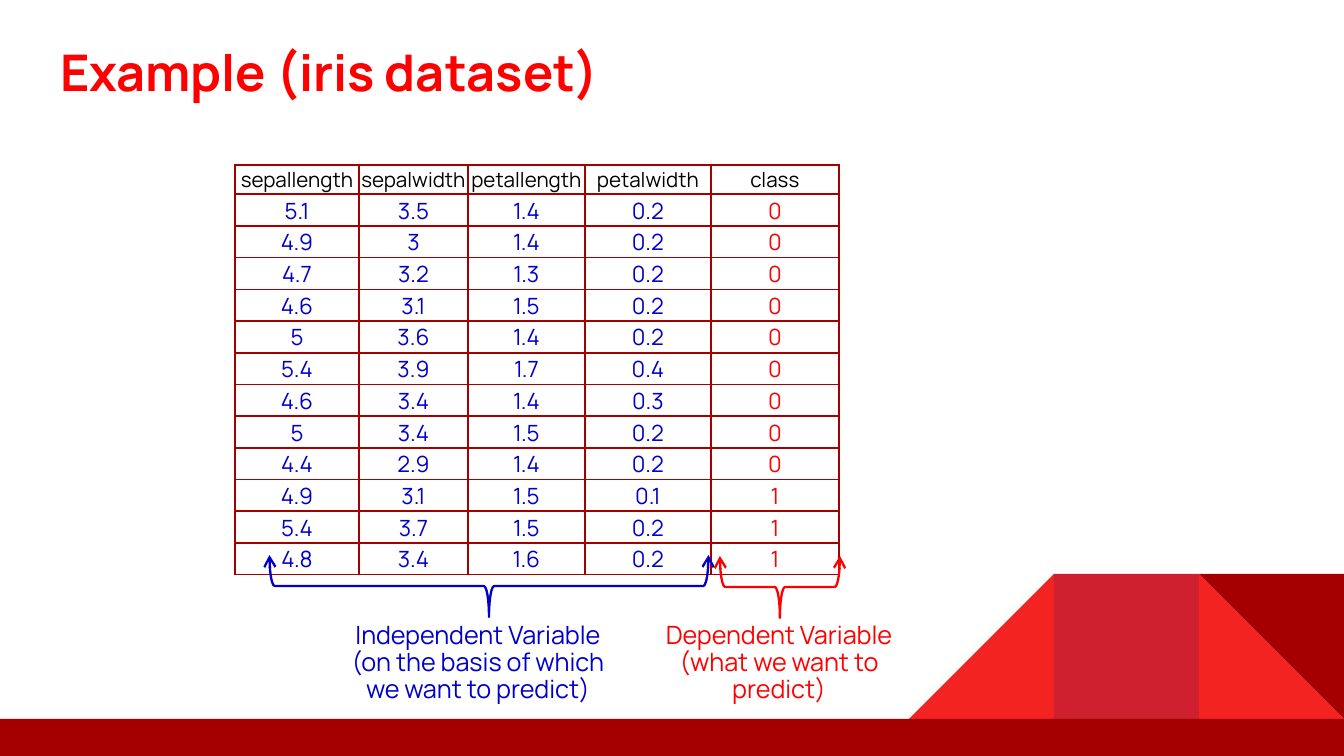
from lxml.etree import SubElement
from pptx import Presentation
from pptx.dml.color import RGBColor
from pptx.enum.shapes import MSO_SHAPE as Shape
from pptx.enum.text import MSO_ANCHOR as Anchor, MSO_AUTO_SIZE as AutoSize, PP_ALIGN as Align
from pptx.oxml.ns import qn
from pptx.util import Pt

WIDTH, HEIGHT = 1344, 756
SCALE = 9144000 / WIDTH  # EMU in one px
FONT = "Manrope"
COLORS = {
    "title": "FF0000", "dependent": "FF0000", "independent": "0000CC",
    "header": "000000", "dark": "A50000", "bright": "F32321", "block": "CE202F",
}

HEADERS = ["sepallength", "sepalwidth", "petallength", "petalwidth", "class"]
COLUMN_WIDTHS = [124, 109, 117, 126, 128]
ROW_HEIGHT = 29
SAMPLES = [
    ["5.1", "3.5", "1.4", "0.2", "0"],
    ["4.9", "3", "1.4", "0.2", "0"],
    ["4.7", "3.2", "1.3", "0.2", "0"],
    ["4.6", "3.1", "1.5", "0.2", "0"],
    ["5", "3.6", "1.4", "0.2", "0"],
    ["5.4", "3.9", "1.7", "0.4", "0"],
    ["4.6", "3.4", "1.4", "0.3", "0"],
    ["5", "3.4", "1.5", "0.2", "0"],
    ["4.4", "2.9", "1.4", "0.2", "0"],
    ["4.9", "3.1", "1.5", "0.1", "1"],
    ["5.4", "3.7", "1.5", "0.2", "1"],
    ["4.8", "3.4", "1.6", "0.2", "1"],
]


def px(*lengths):
    return [round(length * SCALE) for length in lengths]


def color(name):
    return RGBColor.from_string(COLORS[name])


def add_text(para, text, size, color_name, bold=False, align=Align.CENTER):
    para.alignment = align
    span = para.add_run()
    span.text = text
    span.font.name, span.font.size, span.font.bold = FONT, Pt(size), bold
    span.font.color.rgb = color(color_name)


def add_title(page, text):
    title = page.shapes.title
    title.left, title.top, title.width, title.height = px(47, 27, 1253, 89)
    frame = title.text_frame
    frame.auto_size = AutoSize.NONE
    frame.vertical_anchor = Anchor.MIDDLE
    frame.margin_left, frame.margin_top, frame.margin_right, frame.margin_bottom = px(13, 13, 13, 13)
    add_text(frame.paragraphs[0], text, 27, "title", bold=True, align=Align.LEFT)


def add_decoration(page):
    group = page.shapes.add_group_shape()

    def add_block(kind, left, top, width, height, color_name):
        block = group.shapes.add_shape(kind, *px(left, top, width, height))
        block.shadow.inherit = False
        block.fill.solid()
        block.fill.fore_color.rgb = color(color_name)
        block.line.fill.background()
        return block

    side, bar_top = 145, 719
    top = bar_top - side
    left, middle, right = (WIDTH - side * count for count in (3, 2, 1))
    add_block(Shape.RIGHT_TRIANGLE, right, top, side, side, "bright")
    slope = add_block(Shape.RIGHT_TRIANGLE, left, top, side, side, "bright")
    slope._element.spPr.find(qn("a:xfrm")).set("flipH", "1")
    add_block(Shape.RECTANGLE, middle, top, side, side, "block")
    add_block(Shape.RIGHT_TRIANGLE, right, top, side, side, "dark").rotation = 180
    add_block(Shape.RECTANGLE, 0, bar_top, WIDTH, HEIGHT - bar_top, "dark")


def add_borders(cell):
    properties = cell._tc.get_or_add_tcPr()
    for index, side in enumerate(("a:lnL", "a:lnR", "a:lnT", "a:lnB")):
        border = SubElement(properties, qn(side), w=str(Pt(1)))
        fill = SubElement(border, qn("a:solidFill"))
        SubElement(fill, qn("a:srgbClr"), val=COLORS["dark"])
        properties.insert(index, border)  # borders go before the fill


def add_data_table(page):
    rows = [HEADERS] + SAMPLES
    frame = page.shapes.add_table(
        len(rows), len(HEADERS), *px(235, 165, sum(COLUMN_WIDTHS), ROW_HEIGHT * len(rows)))
    table = frame.table
    table.first_row = table.horz_banding = False
    for column, width in zip(table.columns, COLUMN_WIDTHS):
        column.width = px(width)[0]
    for row_index, values in enumerate(rows):
        table.rows[row_index].height = px(ROW_HEIGHT)[0]
        for column_index, value in enumerate(values):
            cell = table.cell(row_index, column_index)
            cell.fill.background()
            cell.vertical_anchor = Anchor.BOTTOM
            cell.margin_left, cell.margin_top, cell.margin_right, cell.margin_bottom = px(1, 1, 1, 0)
            add_borders(cell)
            if row_index == 0:
                size, color_name = 11, "header"
            else:
                is_class = column_index == len(HEADERS) - 1
                size, color_name = 12, "dependent" if is_class else "independent"
            add_text(cell.text_frame.paragraphs[0], value, size, color_name)


def add_brace(page, center_x, center_y, span_width, color_name):
    """Brace that lies on its side below the columns it spans."""
    depth = 62
    brace = page.shapes.add_shape(
        Shape.LEFT_BRACE,
        *px(center_x - depth / 2, center_y - span_width / 2, depth, span_width))
    brace.rotation = 270
    brace.shadow.inherit = False
    brace.fill.background()
    brace.line.color.rgb = color(color_name)
    brace.line.width = Pt(1.25)
    outline = brace._element.spPr.find(qn("a:ln"))
    for end in ("a:headEnd", "a:tailEnd"):
        SubElement(outline, qn(end), type="arrow")


def add_label(page, left, lines, color_name):
    box = page.shapes.add_textbox(*px(left, 616, 290, 105))
    frame = box.text_frame
    frame.word_wrap = True
    frame.auto_size = AutoSize.SHAPE_TO_FIT_TEXT
    for index, line in enumerate(lines):
        para = frame.add_paragraph() if index else frame.paragraphs[0]
        para.line_spacing = 0.9
        add_text(para, line, 13.5, color_name)


def main():
    deck = Presentation()
    deck.slide_width, deck.slide_height = px(WIDTH, HEIGHT)
    page = deck.slides.add_slide(deck.slide_layouts[5])

    # Frame of the slide
    add_decoration(page)
    add_title(page, "Example (iris dataset)")

    # Data and the roles of its columns
    add_data_table(page)
    add_brace(page, 489, 586, 439, "independent")
    add_brace(page, 780, 587, 120, "dependent")
    add_label(page, 333, ["Independent Variable", "(on the basis of which we want to predict)"], "independent")
    add_label(page, 634, ["Dependent Variable (what we want to predict)"], "dependent")

    deck.save("out.pptx")


if __name__ == "__main__":
    main()
